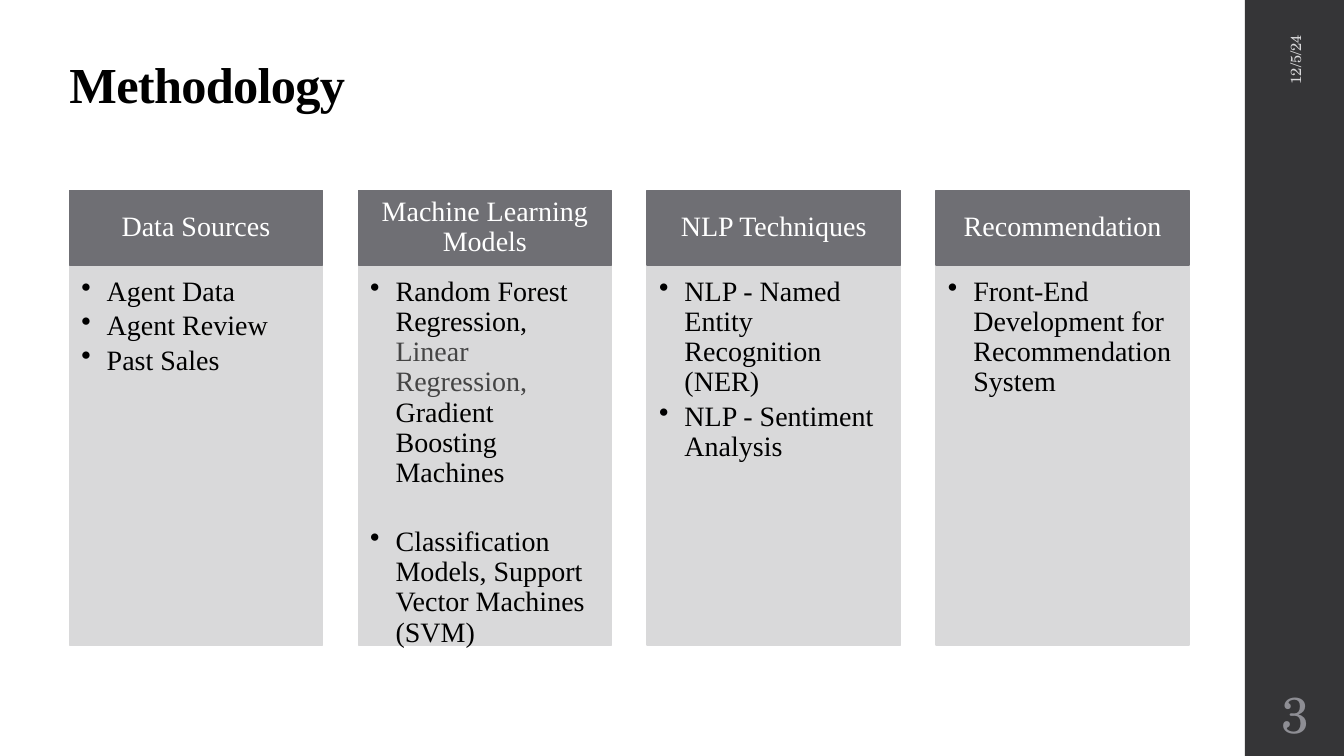
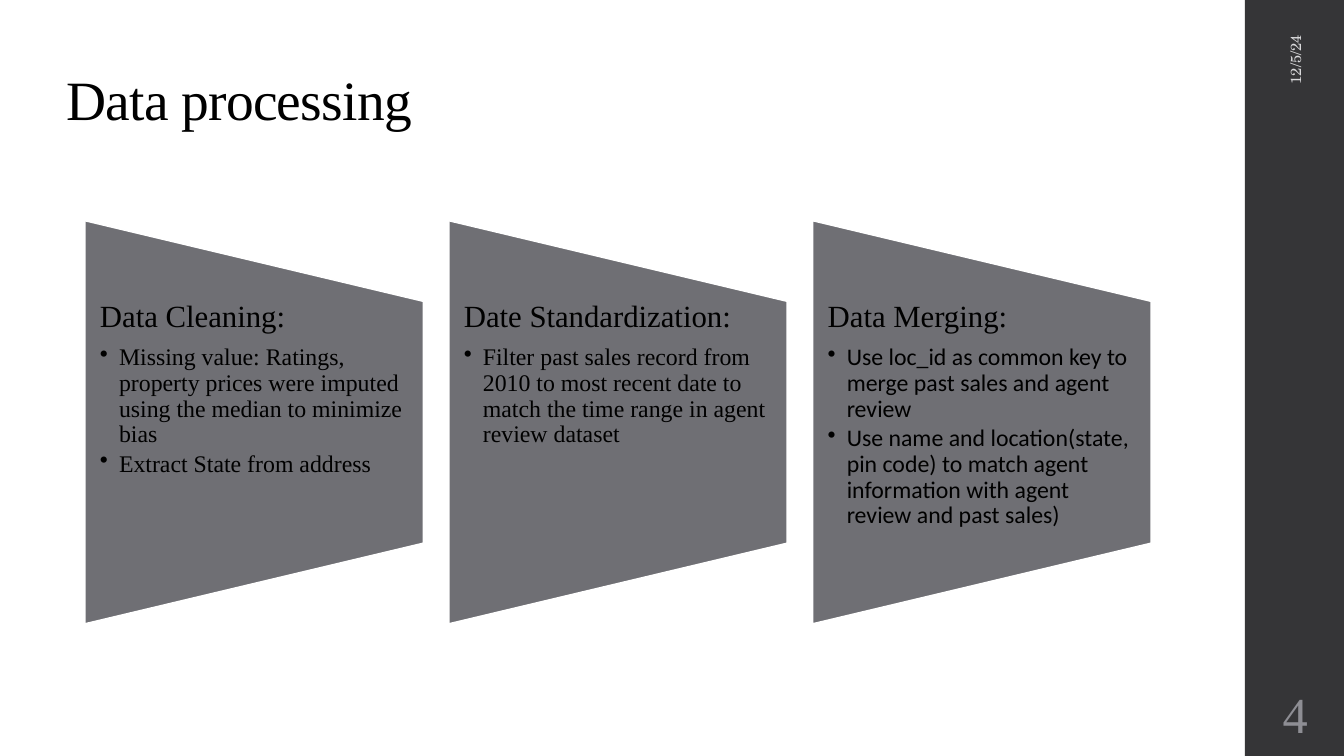
from lxml import etree
from pptx import Presentation
from pptx.dml.color import RGBColor
from pptx.enum.shapes import MSO_SHAPE
from pptx.enum.text import MSO_ANCHOR, MSO_AUTO_SIZE, PP_ALIGN
from pptx.oxml.ns import qn
from pptx.util import Cm, Pt

RECT, TRAP = MSO_SHAPE.RECTANGLE, MSO_SHAPE.FLOWCHART_MANUAL_OPERATION
TOP, MIDDLE, BOTTOM = MSO_ANCHOR.TOP, MSO_ANCHOR.MIDDLE, MSO_ANCHOR.BOTTOM
LEFT, CENTER, RIGHT = PP_ALIGN.LEFT, PP_ALIGN.CENTER, PP_ALIGN.RIGHT

COLORS = {"band": "353537", "gray": "6F6F74", "pale": "D9D9DA", "white": "FFFFFF",
          "black": "000000", "dim": "444444", "date": "D9D9DB", "page": "8E8E94"}
SERIF, SCHOOL, SANS = "Times New Roman", "TeX Gyre Schola", "Calibri"
DATE = "12/5/24"

# Content: each bullet is a list of (text, color) parts
METHODS = [
    ("Data Sources", [[("Agent Data", "black")], [("Agent Review", "black")],
                      [("Past Sales", "black")]]),
    ("Machine Learning Models", [
        [("Random Forest Regression, ", "black"), ("Linear Regression, ", "dim"),
         ("Gradient Boosting Machines", "black")],
        [("Classification Models, Support Vector Machines (SVM)", "black")]]),
    ("NLP Techniques", [[("NLP - Named Entity Recognition (NER)", "black")],
                        [("NLP - Sentiment Analysis", "black")]]),
    ("Recommendation", [[("Front-End Development for Recommendation System", "black")]]),
]
WIDE_GAP = ("Machine Learning Models", 1)  # bullet set apart from the one above

STEPS = [
    ("Data Cleaning:", SERIF, [
        "Missing value: Ratings, property prices were imputed using the median "
        "to minimize bias",
        "Extract State from address"]),
    ("Date Standardization:", SERIF, [
        "Filter past sales record from 2010 to most recent date to match the time "
        "range in agent review dataset"]),
    ("Data Merging:", SANS, [
        "Use loc_id as common key to merge past sales and agent review",
        "Use name and location(state, pin code) to match agent information with "
        "agent review and past sales)"]),
]


def color(name):
    return RGBColor.from_string(COLORS[name])


def set_frame(shape, anchor, insets=(0.25, 0.13, 0.25, 0.13)):
    frame = shape.text_frame
    frame.word_wrap = True
    frame.auto_size = MSO_AUTO_SIZE.NONE
    frame.vertical_anchor = anchor
    (frame.margin_left, frame.margin_top,
     frame.margin_right, frame.margin_bottom) = map(Cm, insets)
    return frame


def style(par, size, tone, font=SERIF, align=LEFT, after=0, line=0.9):
    par.alignment, par.line_spacing, par.space_after = align, line, Pt(after)
    for run in par.runs:
        run.font.size, run.font.name = Pt(size), font
        run.font.color.rgb = color(tone)


def bullet(par, indent):
    props = par._p.get_or_add_pPr()
    props.set("marL", str(Cm(indent)))
    props.set("indent", str(-Cm(indent)))
    etree.SubElement(props, qn("a:buChar")).set("char", "•")


def add_box(slide, kind, place, fill, line):
    box = slide.shapes.add_shape(kind, *map(Cm, place))
    box.shadow.inherit = False
    box.fill.solid()
    box.fill.fore_color.rgb = color(fill)
    box.line.color.rgb = color(line)
    box.line.width = Pt(1.1)
    return box


def add_text(slide, place, text, size, tone, font, align):
    box = slide.shapes.add_textbox(*map(Cm, place))
    frame = set_frame(box, MIDDLE)
    frame.text = text
    style(frame.paragraphs[0], size, tone, font, align, line=1)
    return box


def add_slide(deck, title, place, size, bold, page, font):
    slide = deck.slides.add_slide(deck.slide_layouts[5])
    # Side band with date and page number
    band = add_box(slide, RECT, (31.37, 0, 2.54, 19.05), "band", "band")
    band.line.fill.background()
    date = add_text(slide, (30, 2.77, 5.28, 1.02), DATE, 10.5, "date", SCHOOL, RIGHT)
    date.rotation = 270
    add_text(slide, (31.37, 17.15, 2.54, 1.65), page, 36, "page", font, CENTER)
    # Title
    head = slide.shapes.title
    head.left, head.top, head.width, head.height = map(Cm, place)
    frame = set_frame(head, BOTTOM)
    frame.text = title
    style(frame.paragraphs[0], size, "black")
    run = frame.paragraphs[0].runs[0]
    run.font.bold = bold
    run._r.get_or_add_rPr().set("spc", "-50")
    return slide


def build_methods(deck):
    slide = add_slide(deck, "Methodology", (1.5, 1.22, 22.28, 1.8), 36, True, "3", SCHOOL)
    left, top, pitch, wide, head_h, body_h = 1.75, 4.8, 7.28, 6.38, 1.88, 9.58
    for col, (name, items) in enumerate(METHODS):
        x = left + col * pitch
        body = add_box(slide, RECT, (x, top + head_h, wide, body_h), "pale", "pale")
        frame = set_frame(body, TOP, (0.3, 0.3, 0.4, 0.43))
        for row, parts in enumerate(items):
            par = frame.paragraphs[0] if row == 0 else frame.add_paragraph()
            bullet(par, 0.64)
            for text, _ in parts:
                par.add_run().text = text
            style(par, 20, "black", after=3)
            for run, (_, tone) in zip(par.runs, parts):
                run.font.color.rgb = color(tone)
            if (name, row) == WIDE_GAP:
                par.space_before = Pt(24.6)
        head = add_box(slide, RECT, (x, top, wide, head_h), "gray", "gray")
        frame = set_frame(head, MIDDLE, (0.4, 0.23, 0.4, 0.23))
        frame.text = name
        style(frame.paragraphs[0], 20, "white", align=CENTER)


def build_steps(deck):
    slide = add_slide(deck, "Data processing", (1.42, 1.78, 26.92, 1.7), 39.6, False,
                      "4", SERIF)
    left, mid, pitch, wide, high, text_h = 2.14, 10.64, 9.17, 8.53, 10.16, 6.1
    for col, (name, font, items) in enumerate(STEPS):
        x = left + col * pitch
        # The turned shape has its width and height swapped about its centre
        place = (x + (wide - high) / 2, mid - wide / 2, high, wide)
        add_box(slide, TRAP, place, "gray", "white").rotation = 270
        box = slide.shapes.add_textbox(Cm(x), Cm(mid - text_h / 2), Cm(wide), Cm(text_h))
        frame = set_frame(box, TOP, (0.38, 0, 0.4, 0))
        frame.text = name
        style(frame.paragraphs[0], 22, "black", after=7.7)
        for item in items:
            par = frame.add_paragraph()
            par.text = item
            bullet(par, 0.48)
            style(par, 17, "black", font, after=2.6)


def main():
    deck = Presentation()
    deck.slide_width, deck.slide_height = Cm(33.87), Cm(19.05)
    build_methods(deck)
    build_steps(deck)
    deck.save("out.pptx")


if __name__ == "__main__":
    main()
